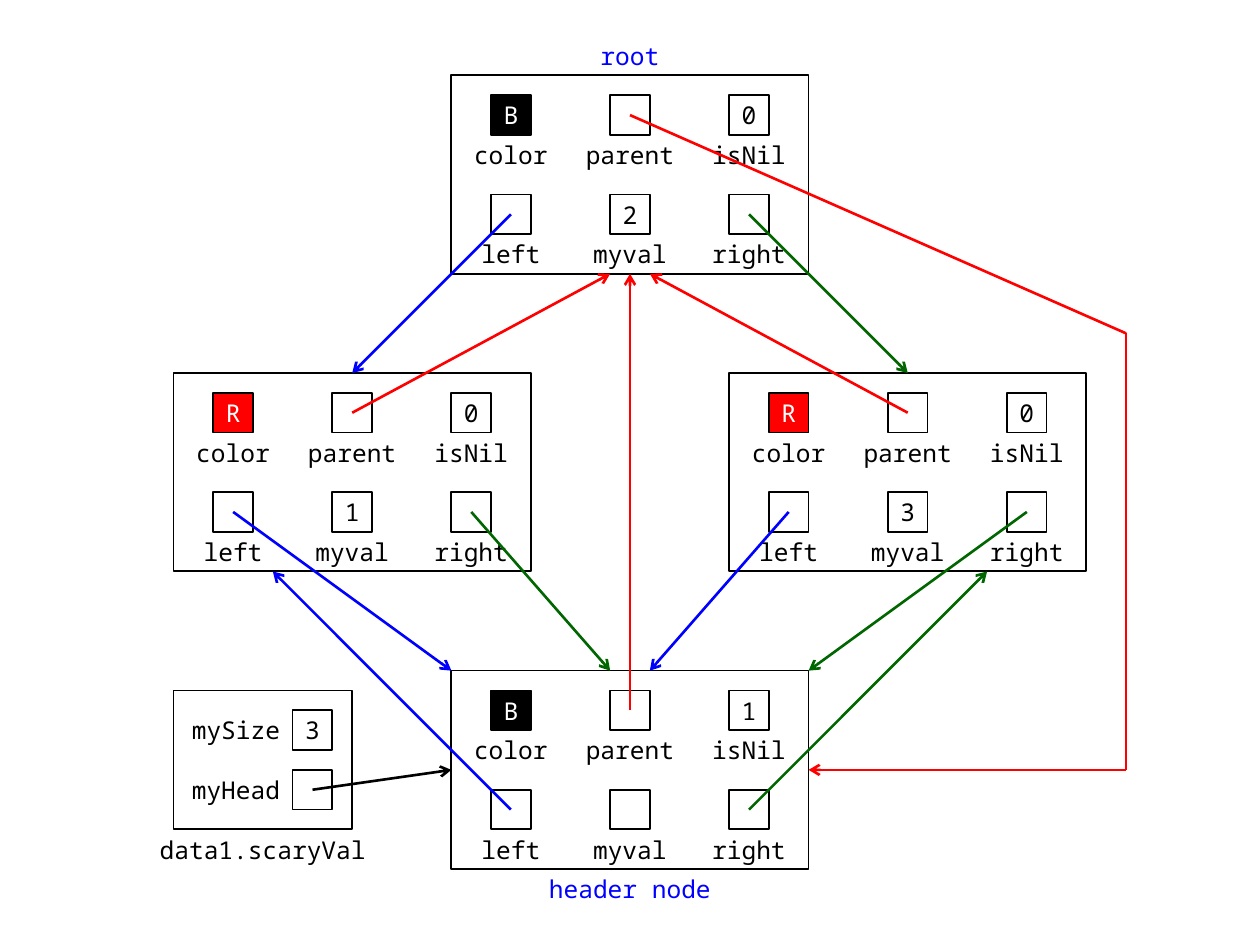
from dataclasses import dataclass

from lxml.etree import SubElement
from pptx import Presentation
from pptx.dml.color import RGBColor as Rgb
from pptx.enum.shapes import MSO_CONNECTOR as Connector, MSO_SHAPE as Shape
from pptx.enum.text import MSO_ANCHOR as Anchor, PP_ALIGN as Align
from pptx.oxml.ns import qn
from pptx.util import Cm, Pt

COLORS = {"black": "000000", "white": "FFFFFF", "red": "FF0000",
          "blue": "0000FF", "green": "006600"}
NODE_WIDTH, NODE_HEIGHT = 7.2, 4
CELL = 0.8
COLUMN_STEP, ROW_STEP = 2.4, 2
# field name, column, row, label width
FIELDS = [("color", 0, 0, 2.4), ("parent", 1, 0, 2.4), ("isNil", 2, 0, 2.4),
          ("left", 0, 1, 1.6), ("myval", 1, 1, 2.4), ("right", 2, 1, 2.4)]


@dataclass
class Node:
    x: float
    y: float
    values: dict

    def point(self, dx, dy):
        return self.x + dx, self.y + dy

    def center(self, field):
        """Return the middle of the cell of a field."""
        column, row = next(f[1:3] for f in FIELDS if f[0] == field)
        return self.point(1.2 + column * COLUMN_STEP, 0.8 + row * ROW_STEP)


class Diagram:
    font_name = "Noto Sans Mono"
    font_size = Pt(14)

    def __init__(self, slide):
        self.slide = slide

    def color(self, name):
        return Rgb.from_string(COLORS[name])

    def set_text(self, shape, text, color, align=Align.CENTER, right_inset=0):
        frame = shape.text_frame
        frame.word_wrap = True
        frame.vertical_anchor = Anchor.MIDDLE
        frame.margin_left = frame.margin_top = frame.margin_bottom = 0
        frame.margin_right = Cm(right_inset)
        para = frame.paragraphs[0]
        para.text = text
        para.alignment = align
        para.font.name = self.font_name
        para.font.size = self.font_size
        para.font.color.rgb = self.color(color)

    def box(self, x, y, width, height, fill="white"):
        box = self.slide.shapes.add_shape(
            Shape.RECTANGLE, Cm(x), Cm(y), Cm(width), Cm(height))
        box.shadow.inherit = False
        box.fill.solid()
        box.fill.fore_color.rgb = self.color(fill)
        box.line.color.rgb = self.color("black")
        box.line.width = Pt(1)
        return box

    def cell(self, center, value="", fill="white"):
        x, y = center
        box = self.box(x - CELL / 2, y - CELL / 2, CELL, CELL, fill)
        if value:
            self.set_text(box, value, "black" if fill == "white" else "white")

    def label(self, text, x, y, width, color="black", **style):
        box = self.slide.shapes.add_textbox(Cm(x), Cm(y), Cm(width), Cm(CELL))
        self.set_text(box, text, color, **style)

    def node(self, node):
        self.box(node.x, node.y, NODE_WIDTH, NODE_HEIGHT)
        fills = {"B": "black", "R": "red"}
        for field, _, _, width in FIELDS:
            x, y = node.center(field)
            value = node.values.get(field, "")
            self.cell((x, y), value, fills.get(value, "white"))
            self.label(field, x - width / 2, y + CELL / 2, width)

    def line(self, start, end, color, arrow=True):
        ends = [Cm(value) for value in (*start, *end)]
        line = self.slide.shapes.add_connector(Connector.STRAIGHT, *ends)
        line.line.color.rgb = self.color(color)
        line.line.width = Pt(1.5)
        properties = line._element.spPr
        if arrow:
            SubElement(properties.find(qn("a:ln")), qn("a:tailEnd"), type="arrow")
        SubElement(properties, qn("a:effectLst"))


def main():
    deck = Presentation()
    deck.slide_width, deck.slide_height = Cm(25.4), Cm(19.05)
    diagram = Diagram(deck.slides.add_slide(deck.slide_layouts[6]))

    header = Node(9.1, 13.52, {"color": "B", "isNil": "1"})
    root = Node(9.1, 1.52, {"color": "B", "isNil": "0", "myval": "2"})
    right = Node(14.7, 7.52, {"color": "R", "isNil": "0", "myval": "3"})
    left = Node(3.5, 7.52, {"color": "R", "isNil": "0", "myval": "1"})
    for node in (header, root, right, left):
        diagram.node(node)
    diagram.label("root", 11.5, root.y - CELL, 2.4, "blue")
    diagram.label("header node", 10.7, header.y + NODE_HEIGHT, 4, "blue")

    diagram.box(3.5, 13.92, 3.6, 2.8)
    diagram.label("data1.scaryVal", 2.7, 16.72, 5.2)
    head_center = (6.3, 15.92)
    for name, center, value in [("mySize", (6.3, 14.72), "3"), ("myHead", head_center, "")]:
        diagram.cell(center, value)
        diagram.label(name, 3.5, center[1] - CELL / 2, 2.4,
                      align=Align.RIGHT, right_inset=0.25)

    for start, end, color in [
        (head_center, header.point(0, 2), "black"),
        (header.center("left"), left.point(2, NODE_HEIGHT), "blue"),
        (header.center("parent"), root.point(3.6, NODE_HEIGHT), "red"),
        (header.center("right"), right.point(5.2, NODE_HEIGHT), "green"),
        (left.center("parent"), root.point(3.2, NODE_HEIGHT), "red"),
        (right.center("parent"), root.point(4, NODE_HEIGHT), "red"),
        (root.center("left"), left.point(3.6, 0), "blue"),
        (root.center("right"), right.point(3.6, 0), "green"),
        (left.center("left"), header.point(0, 0), "blue"),
        (left.center("right"), header.point(3.2, 0), "green"),
        (right.center("left"), header.point(4, 0), "blue"),
        (right.center("right"), header.point(NODE_WIDTH, 0), "green"),
    ]:
        diagram.line(start, end, color)

    route = [root.center("parent"), (22.7, 6.72), (22.7, 15.52), header.point(NODE_WIDTH, 2)]
    for start, end in zip(route, route[1:]):
        diagram.line(start, end, "red", arrow=end == route[-1])

    deck.save("out.pptx")


if __name__ == "__main__":
    main()
